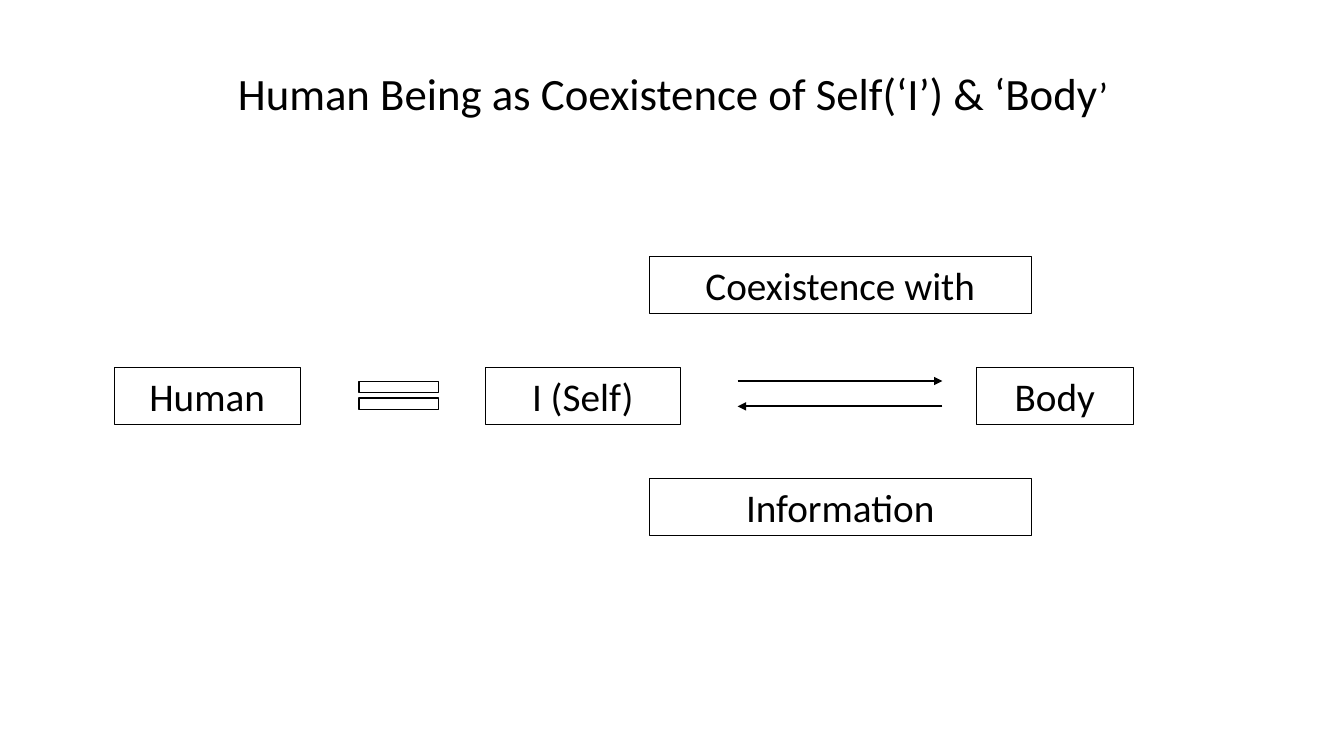
"""Build a slide showing the human being as coexistence of self and body."""
from pptx import Presentation
from pptx import util as u
from pptx.dml.color import RGBColor
from pptx.enum import shapes, text
from pptx.oxml.ns import qn
from lxml import etree

COLORS = {"ink": "000000", "paper": "FFFFFF"}
FONT = "Calibri"
TITLE = [("Human Being as Coexistence of Self(‘I’) & ‘Body", 32), ("’", 28)]

BOX_H = 1.45
ROW_TOPS = [6.45 + 2.8 * i for i in range(3)]
BOXES = [
    ("Human", 2.87, 1, 4.7),
    ("I (Self)", 12.22, 1, 4.93),
    ("Body", 24.61, 1, 3.94),
    ("Coexistence with", 16.36, 0, 9.63),
    ("Information", 16.36, 2, 9.63),
]
ARROWS = [(18.59, 23.75, 9.6), (23.75, 18.59, 10.24)]
EQUALS = (8.69, 9.37, 2.72, 1.19)


def color(name):
    return RGBColor.from_string(COLORS[name])


def write(sp, runs, align=text.PP_ALIGN.CENTER, wrap=True, anchor=text.MSO_ANCHOR.TOP):
    """Put (text, size) runs into the shape's first paragraph."""
    tf = sp.text_frame
    tf.word_wrap = wrap
    tf.auto_size = text.MSO_AUTO_SIZE.NONE
    tf.vertical_anchor = anchor
    p = tf.paragraphs[0]
    p.alignment = align
    for content, size in runs:
        r = p.add_run()
        r.text = content
        r.font.name, r.font.size = FONT, u.Pt(size)
        r.font.color.rgb = color("ink")


def add_outlined(s, kind, left, top, width, height, weight):
    sp = s.shapes.add_shape(kind, u.Cm(left), u.Cm(top), u.Cm(width), u.Cm(height))
    sp.shadow.inherit = False
    sp.line.color.rgb = color("ink")
    sp.line.width = u.Pt(weight)
    return sp


def add_arrow(s, x1, x2, y):
    cx = s.shapes.add_connector(
        shapes.MSO_CONNECTOR.STRAIGHT, u.Cm(x1), u.Cm(y), u.Cm(x2), u.Cm(y))
    cx.line.color.rgb = color("ink")
    cx.line.width = u.Pt(1.5)
    etree.SubElement(cx.line._get_or_add_ln(), qn("a:tailEnd"), type="triangle")
    etree.SubElement(cx._element.spPr, qn("a:effectLst"))


def main():
    prs = Presentation()
    prs.slide_width, prs.slide_height = u.Cm(33.87), u.Cm(19.05)
    s = prs.slides.add_slide(prs.slide_layouts[5])

    title = s.shapes.title
    title.left, title.top, title.width, title.height = map(u.Cm, (5.74, 1.52, 22.78, 1.63))
    write(title, TITLE, align=text.PP_ALIGN.LEFT, wrap=False)

    for label, left, row, width in BOXES:
        sp = add_outlined(s, shapes.MSO_SHAPE.RECTANGLE,
                          left, ROW_TOPS[row], width, BOX_H, 0.25)
        sp.fill.background()
        write(sp, [(label, 28)], anchor=text.MSO_ANCHOR.MIDDLE)

    for x1, x2, y in ARROWS:
        add_arrow(s, x1, x2, y)

    equals = add_outlined(s, shapes.MSO_SHAPE.MATH_EQUAL, *EQUALS, 1)
    equals.fill.solid()
    equals.fill.fore_color.rgb = color("paper")

    prs.save("out.pptx")


if __name__ == "__main__":
    main()
